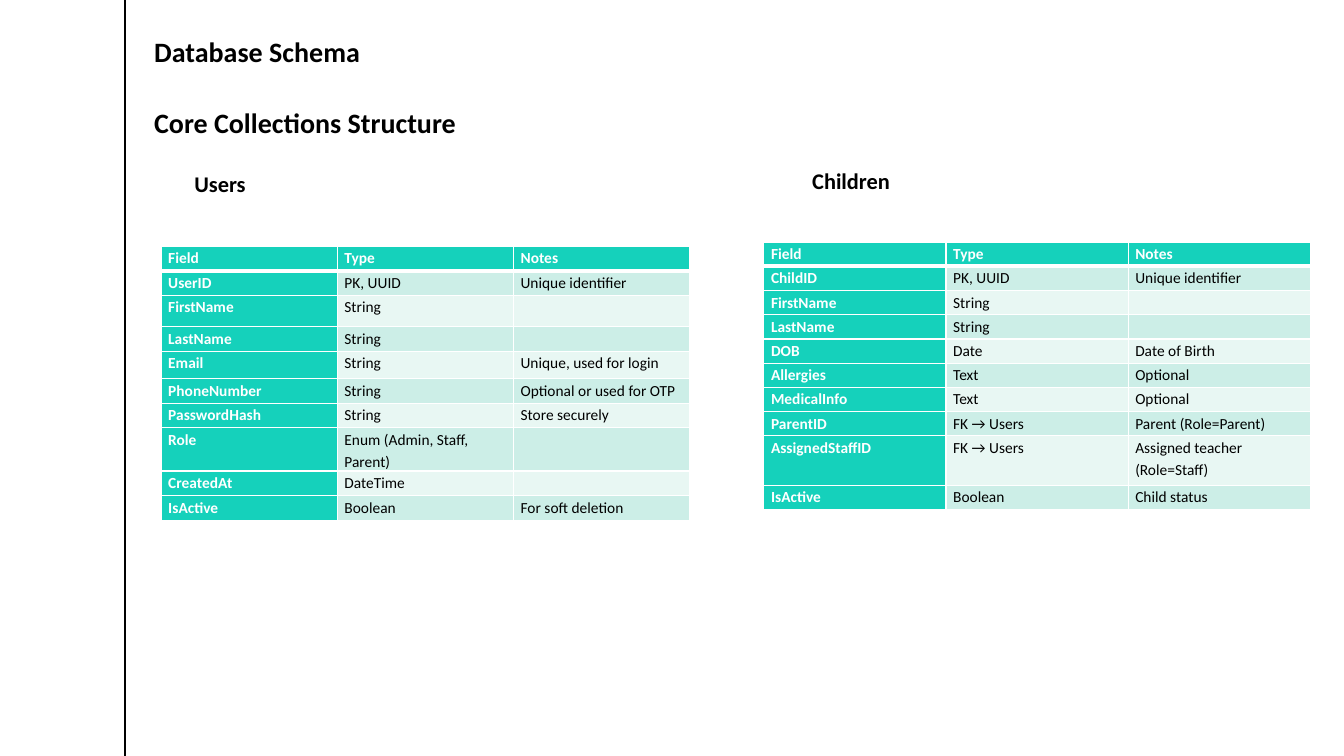
"""Build the database schema slide with the Users and Children field tables."""
from pptx import Presentation
from pptx.dml.color import RGBColor
from pptx.enum.shapes import MSO_CONNECTOR
from pptx.enum.text import MSO_ANCHOR, MSO_AUTO_SIZE, PP_ALIGN
from pptx.oxml.ns import qn
from pptx.util import Cm, Pt
from lxml import etree


def rgb(value):
    return RGBColor.from_string(value)


def style(p, text, size, color, bold, **spacing):
    r = p.add_run()
    r.text = text
    for name, value in dict(name="Calibri", size=Pt(size), bold=bold).items():
        setattr(r.font, name, value)
    r.font.color.rgb = rgb(color)
    for name, value in dict(alignment=PP_ALIGN.LEFT, **spacing).items():
        setattr(p, name, value)


TEAL, MINT, PALE, WHITE, BLACK = "15D1BB", "CCEEE7", "E8F7F3", "FFFFFF", "000000"
HEADER = ("Field", "Type", "Notes")

collections = [
    dict(name="Users", label=(4.65, 3.71, 4.6), at=(4.06, 6.2), col=4.44, row=0.62,
         tall={2: 0.79, 4: 0.69, 7: 1.09},
         rows=[
             HEADER,
             ("UserID", "PK, UUID", "Unique identifier"),
             ("FirstName", "String", ""),
             ("LastName", "String", ""),
             ("Email", "String", "Unique, used for login"),
             ("PhoneNumber", "String", "Optional or used for OTP"),
             ("PasswordHash", "String", "Store securely"),
             ("Role", "Enum (Admin, Staff, Parent)", ""),
             ("CreatedAt", "DateTime", ""),
             ("IsActive", "Boolean", "For soft deletion"),
         ]),
    dict(name="Children", label=(20.22, 3.63, 10.03), at=(19.25, 6.1), col=4.59, row=0.61,
         tall={8: 1.25},
         rows=[
             HEADER,
             ("ChildID", "PK, UUID", "Unique identifier"),
             ("FirstName", "String", ""),
             ("LastName", "String", ""),
             ("DOB", "Date", "Date of Birth"),
             ("Allergies", "Text", "Optional"),
             ("MedicalInfo", "Text", "Optional"),
             ("ParentID", "FK → Users", "Parent (Role=Parent)"),
             ("AssignedStaffID", "FK → Users", "Assigned teacher (Role=Staff)"),
             ("IsActive", "Boolean", "Child status"),
         ]),
]

prs = Presentation()
prs.slide_width, prs.slide_height = Cm(33.87), Cm(19.05)
s = prs.slides.add_slide(prs.slide_layouts[5])

rule = s.shapes.add_connector(MSO_CONNECTOR.STRAIGHT, Cm(3.15), 0, Cm(3.15), prs.slide_height)
rule.line.color.rgb = rgb(BLACK)
rule.line.width = Pt(1)
etree.SubElement(rule._element.spPr, qn("a:effectLst"))

title = s.shapes.title
title.left, title.top, title.width, title.height = Cm(3.63), Cm(0.58), Cm(18.82), Cm(3)
tf = title.text_frame
for name, value in dict(word_wrap=True, auto_size=MSO_AUTO_SIZE.NONE,
                        vertical_anchor=MSO_ANCHOR.TOP).items():
    setattr(tf, name, value)
for p, text, after in ((tf.paragraphs[0], "Database Schema", 14),
                       (tf.add_paragraph(), "Core Collections Structure", 15.9)):
    style(p, text, 20, BLACK, True, line_spacing=1.2, space_before=Pt(8), space_after=Pt(after))

for item in collections:
    left, top, width = item["label"]
    tf = s.shapes.add_textbox(Cm(left), Cm(top), Cm(width), Cm(2.24)).text_frame
    for name, value in dict(word_wrap=True, vertical_anchor=MSO_ANCHOR.TOP,
                            margin_top=Cm(0.64), margin_bottom=Cm(0.15)).items():
        setattr(tf, name, value)
    style(tf.paragraphs[0], item["name"], 16, BLACK, True)

    rows = item["rows"]
    heights = [item["tall"].get(i, item["row"]) for i in range(len(rows))]
    left, top = item["at"]
    table = s.shapes.add_table(len(rows), len(HEADER), Cm(left), Cm(top),
                               Cm(item["col"] * len(HEADER)), Cm(sum(heights))).table
    for column in table.columns:
        column.width = Cm(item["col"])
    for i, values in enumerate(rows):
        table.rows[i].height = Cm(heights[i])
        for j, text in enumerate(values):
            cell = table.cell(i, j)
            for name, value in dict(margin_left=Cm(0.18), margin_right=Cm(0.18),
                                    margin_top=0, margin_bottom=0).items():
                setattr(cell, name, value)
            tcPr = cell._tc.get_or_add_tcPr()
            for side in ("lnL", "lnR", "lnT", "lnB"):
                thick = (i, side) in ((0, "lnB"), (1, "lnT"))
                ln = etree.SubElement(tcPr, qn(f"a:{side}"), w=str(Pt(3 if thick else 1)))
                fill = etree.SubElement(ln, qn("a:solidFill"))
                etree.SubElement(fill, qn("a:srgbClr"), val=WHITE)
            heading = i == 0 or j == 0
            cell.fill.solid()
            cell.fill.fore_color.rgb = rgb(TEAL if heading else MINT if i % 2 else PALE)
            p = cell.text_frame.paragraphs[0]
            if text:
                style(p, text, 11, WHITE if heading else BLACK, heading,
                      line_spacing=1.15, space_after=Pt(10))
            else:
                etree.SubElement(p._p, qn("a:endParaRPr"), sz="1100")

prs.save("out.pptx")
